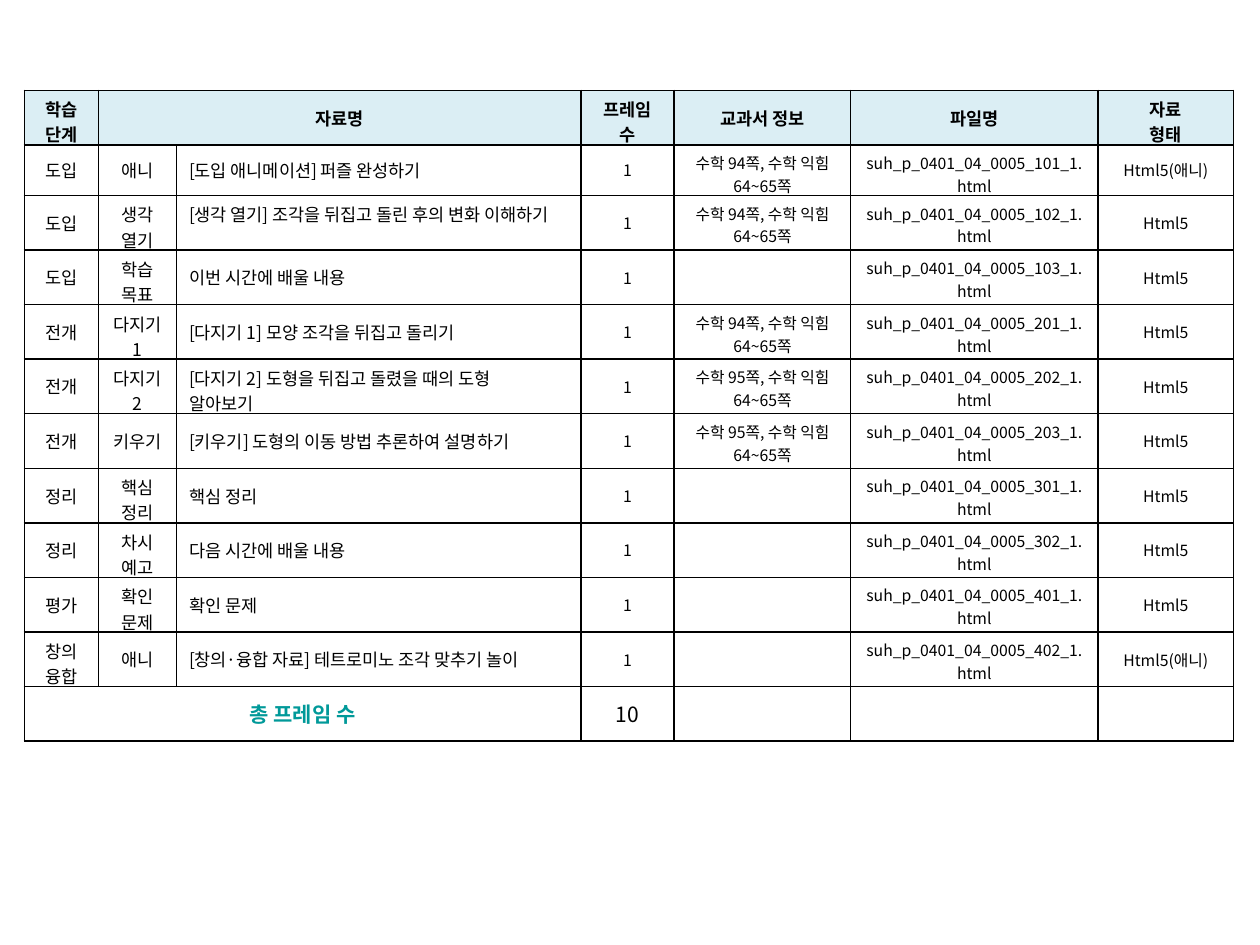
from lxml.etree import SubElement
from pptx import Presentation
from pptx.dml.color import RGBColor
from pptx.enum.text import MSO_ANCHOR, PP_ALIGN
from pptx.oxml.ns import qn
from pptx.util import Cm, Pt

FONT = "Noto Sans CJK KR"
BLACK, TEAL, PALE_BLUE = "000000", "009999", "DBEEF4"
COLUMN_WIDTHS = [1.5, 1.57, 8.15, 1.88, 3.56, 4.98, 2.74]
ROW_HEIGHTS = [1.1, 1.02] + [1.1] * 10
HEADINGS = ["학습 단계", "자료명", "", "프레임 수", "교과서 정보", "파일명", "자료\n형태"]
BODY_SIZES = [10, 10, 10, 9, 9, 9, 9]
LINE_LENGTHS = [3, 3, 27, 4, 9, 20, 12]
LEFT_MARGINS = [0.25, 0.25, 0.25, 0.4, 0.25, 0.25, 0.25]
RIGHT_MARGINS = [0.25, 0.25, 0.5, 0.4, 0.25, 0.25, 0.25]
TITLE_COLUMN = 2
MATERIALS = [
    ("도입", "애니", "[도입 애니메이션] 퍼즐 완성하기", 94, 101, "Html5(애니)"),
    ("도입", "생각 열기", "[생각 열기] 조각을 뒤집고 돌린 후의 변화 이해하기", 94, 102, "Html5"),
    ("도입", "학습 목표", "이번 시간에 배울 내용", None, 103, "Html5"),
    ("전개", "다지기1", "[다지기 1] 모양 조각을 뒤집고 돌리기", 94, 201, "Html5"),
    ("전개", "다지기 2", "[다지기 2] 도형을 뒤집고 돌렸을 때의 도형 알아보기", 95, 202, "Html5"),
    ("전개", "키우기", "[키우기] 도형의 이동 방법 추론하여 설명하기", 95, 203, "Html5"),
    ("정리", "핵심 정리", "핵심 정리", None, 301, "Html5"),
    ("정리", "차시 예고", "다음 시간에 배울 내용", None, 302, "Html5"),
    ("평가", "확인 문제", "확인 문제", None, 401, "Html5"),
    ("창의 융합", "애니", "[창의·융합 자료] 테트로미노 조각 맞추기 놀이", None, 402, "Html5(애니)"),
]


def color(hex_value):
    """Return the colour for a hex string."""
    return RGBColor.from_string(hex_value)


def draw_borders(cell):
    """Outline a cell with thin black lines."""
    properties = cell._tc.get_or_add_tcPr()
    for side in ("a:lnL", "a:lnR", "a:lnT", "a:lnB"):
        line = SubElement(properties, qn(side), w=str(Pt(1)))
        solid = SubElement(line, qn("a:solidFill"))
        SubElement(solid, qn("a:srgbClr"), val=BLACK)


def paint_cell(cell, fill=None):
    """Give a cell its borders and fill."""
    draw_borders(cell)
    if fill:
        cell.fill.solid()
        cell.fill.fore_color.rgb = color(fill)
    else:
        cell.fill.background()


def place_text(cell, column, text):
    """Centre one line, and let two lines run to the bottom of the row."""
    cell.margin_left = Cm(LEFT_MARGINS[column])
    cell.margin_right = Cm(RIGHT_MARGINS[column])
    cell.vertical_anchor = MSO_ANCHOR.MIDDLE
    if "\n" in text or len(text) > LINE_LENGTHS[column]:
        cell.vertical_anchor = MSO_ANCHOR.TOP
        cell.margin_bottom = Cm(-0.1)


def write_cell(cell, text, size, bold=False, ink=BLACK, align=PP_ALIGN.CENTER):
    """Write formatted text in a cell."""
    cell.text_frame.text = text
    for paragraph in cell.text_frame.paragraphs:
        paragraph.alignment = align
        for run in paragraph.runs:
            run.font.size = Pt(size)
            run.font.bold = bold
            run.font.name = FONT
            run.font.color.rgb = color(ink)
            SubElement(run.font._element, qn("a:ea"), typeface=FONT)
        if not paragraph.runs:
            SubElement(paragraph._p, qn("a:endParaRPr"), sz=str(size * 100))


def material_texts(material):
    """Return the seven cell texts of one learning material."""
    stage, activity, title, page, file_number, form = material
    textbook = f"수학 {page}쪽, 수학 익힘 64~65쪽" if page else ""
    file_name = f"suh_p_0401_04_0005_{file_number}_1.html"
    return [stage, activity, title, "1", textbook, file_name, form]


def add_grid(slide):
    """Add the empty table with its column and row sizes."""
    frame = slide.shapes.add_table(
        len(ROW_HEIGHTS), len(COLUMN_WIDTHS), Cm(0.49), Cm(1.82),
        Cm(sum(COLUMN_WIDTHS)), Cm(sum(ROW_HEIGHTS)))
    grid = frame.table
    grid.first_row = grid.horz_banding = False
    for column, width in zip(grid.columns, COLUMN_WIDTHS):
        column.width = Cm(width)
    for row, height in zip(grid.rows, ROW_HEIGHTS):
        row.height = Cm(height)
    return grid


def fill_header(row):
    """Write the heading row."""
    for column, heading in enumerate(HEADINGS):
        cell = row.cells[column]
        paint_cell(cell, PALE_BLUE)
        place_text(cell, column, heading)
        write_cell(cell, heading, 10, bold=True)


def fill_material(row, material):
    """Write the row of one learning material."""
    for column, text in enumerate(material_texts(material)):
        cell = row.cells[column]
        align = PP_ALIGN.LEFT if column == TITLE_COLUMN else PP_ALIGN.CENTER
        paint_cell(cell)
        place_text(cell, column, text)
        write_cell(cell, text, BODY_SIZES[column], align=align)


def fill_total(row):
    """Write the closing row with the number of frames."""
    for column, cell in enumerate(row.cells):
        paint_cell(cell)
        place_text(cell, column, "")
        write_cell(cell, "", 9)
    write_cell(row.cells[0], "총 프레임 수", 12, bold=True, ink=TEAL)
    write_cell(row.cells[3], str(len(MATERIALS)), 12)


def main():
    """Build the slide and save it."""
    presentation = Presentation()
    presentation.slide_width, presentation.slide_height = Cm(25.4), Cm(19.05)
    slide = presentation.slides.add_slide(presentation.slide_layouts[6])
    grid = add_grid(slide)
    header, *material_rows, total = grid.rows
    fill_header(header)
    for row, material in zip(material_rows, MATERIALS):
        fill_material(row, material)
    fill_total(total)
    grid.cell(0, 1).merge(grid.cell(0, 2))
    last = len(ROW_HEIGHTS) - 1
    grid.cell(last, 0).merge(grid.cell(last, 2))
    presentation.save("out.pptx")


if __name__ == "__main__":
    main()
